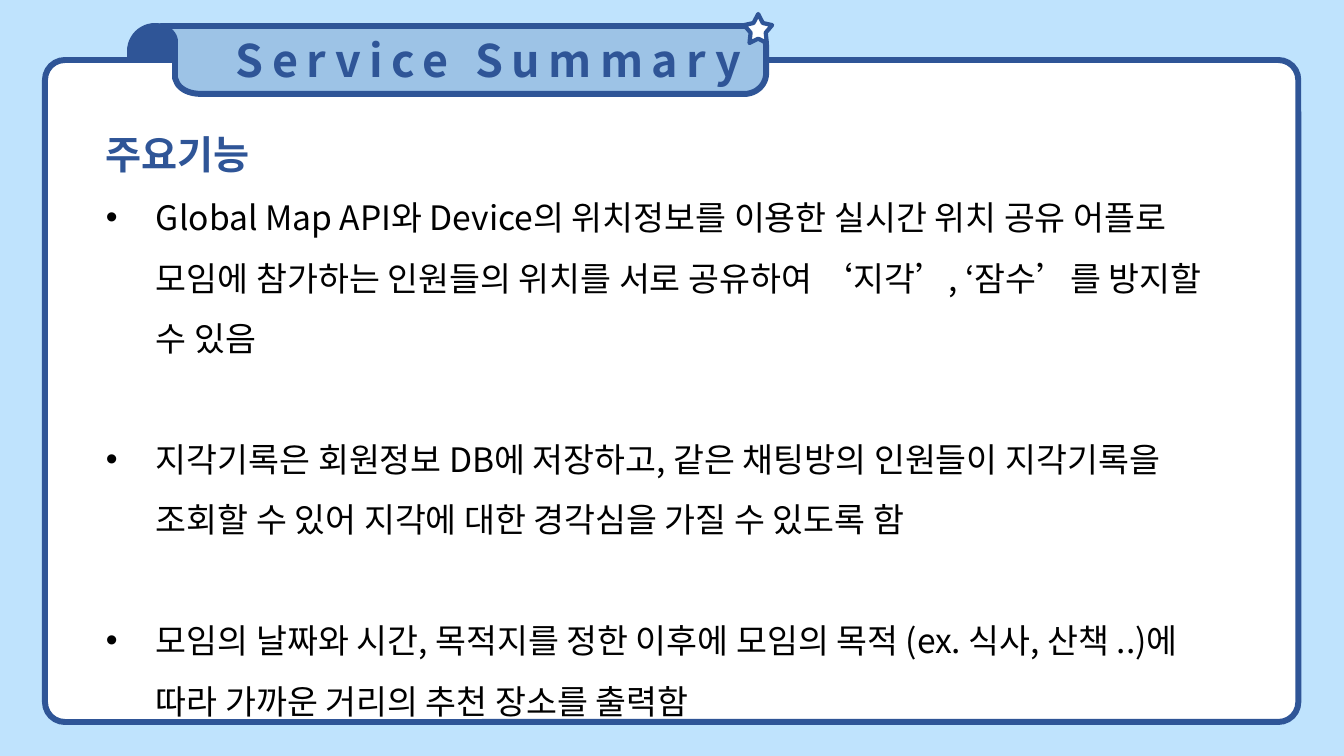
from lxml import etree
from pptx import Presentation
from pptx import util as u
from pptx.dml.color import RGBColor
from pptx.enum import shapes, text
from pptx.oxml.ns import qn

SCALE = 914400 / 100.8
FONT = "Noto Sans CJK KR"
COLORS = {"sky": "BFE3FD", "navy": "2F5597", "ribbon": "9DC3E6",
          "white": "FFFFFF", "black": "000000"}


def curve(start, first, second, end, steps=12):
    """Points along a cubic curve, without its start."""
    points = []
    for step in range(1, steps + 1):
        t = step / steps
        weights = ((1 - t) ** 3, 3 * t * (1 - t) ** 2, 3 * t * t * (1 - t), t ** 3)
        points.append(tuple(sum(weight * point[axis] for weight, point
                                in zip(weights, (start, first, second, end)))
                            for axis in (0, 1)))
    return points


class Painter:
    def __init__(self, slide):
        self.slide = slide

    def emu(self, *pixels):
        return [u.Emu(round(pixel * SCALE)) for pixel in pixels]

    def color(self, name):
        return RGBColor.from_string(COLORS[name])

    def background(self, name):
        fill = self.slide.background.fill
        fill.solid()
        fill.fore_color.rgb = self.color(name)

    def style(self, shape, fill, line_width):
        shape.shadow.inherit = False
        shape.fill.solid()
        shape.fill.fore_color.rgb = self.color(fill)
        shape.line.color.rgb = self.color("navy")
        shape.line.width = u.Pt(line_width)
        return shape

    def preset(self, kind, box, fill, adjustments, line_width=4.25):
        shape = self.slide.shapes.add_shape(kind, *self.emu(*box))
        for index, value in enumerate(adjustments):
            shape.adjustments[index] = value
        return self.style(shape, fill, line_width)

    def outline(self, points, fill, line_width=4.25):
        corners = [self.emu(*point) for point in points]
        builder = self.slide.shapes.build_freeform(*corners[0])
        builder.add_line_segments(corners[1:], close=True)
        return self.style(builder.convert_to_shape(), fill, line_width)

    def text_box(self, box):
        frame = self.slide.shapes.add_textbox(*self.emu(*box)).text_frame
        frame.word_wrap = True
        return frame

    def set_text(self, paragraph, words, size, color, bold=False, spacing=0,
                 left=0, first=0, bullet=None):
        paragraph.text = words
        font = paragraph.font
        font.name, font.size, font.bold = FONT, u.Pt(size), bold
        font.color.rgb = self.color(color)
        properties = paragraph._p.get_or_add_pPr()
        defaults = properties.find(qn("a:defRPr"))
        etree.SubElement(defaults, qn("a:ea"), typeface=FONT)
        if spacing:
            defaults.set("spc", str(spacing * 100))
        indent, hanging = self.emu(left, first)
        properties.set("marL", str(indent))
        properties.set("indent", str(hanging))
        if bullet:
            defaults.addprevious(etree.Element(qn("a:buFont"), typeface="Arial"))
            defaults.addprevious(etree.Element(qn("a:buChar"), char=bullet))


presentation = Presentation()
presentation.slide_width = u.Inches(13.33)
presentation.slide_height = u.Inches(7.5)
painter = Painter(presentation.slides.add_slide(presentation.slide_layouts[6]))
painter.background("sky")

# Ribbon fold and white card
kinds = shapes.MSO_SHAPE
painter.preset(kinds.ROUND_2_SAME_RECTANGLE, (130, 26, 50, 99), "navy", (0.5, 0))
painter.preset(kinds.ROUNDED_RECTANGLE, (45, 60, 1253, 662), "white", (0.03,))

# Title ribbon
ribbon = painter.outline(
    [(161, 26), (744, 26)]
    + curve((744, 26), (756, 26), (766, 35), (766, 47)) + [(766, 73)]
    + curve((766, 73), (766, 85), (756, 94), (744, 94)) + [(202, 94)]
    + curve((202, 94), (190, 94), (181, 90), (177, 83)) + [(175, 78), (175, 42)]
    + curve((175, 42), (175, 36), (171, 31), (165, 28)) + [(161, 27)],
    "ribbon")
ribbon.text_frame.word_wrap = True
ribbon.text_frame.vertical_anchor = text.MSO_ANCHOR.MIDDLE
title = ribbon.text_frame.paragraphs[0]
title.alignment = text.PP_ALIGN.CENTER
painter.set_text(title, "Service Summary", 32, "navy", bold=True, spacing=6, left=50)

# Star on the ribbon corner
painter.preset(kinds.STAR_5_POINT, (744, 14, 28, 29), "white", (0.27,), 3)

# Main features
features = [
    "Global Map API와 Device의 위치정보를 이용한 실시간 위치 공유 어플로\v"
    "모임에 참가하는 인원들의 위치를 서로 공유하여 ‘지각’, ‘잠수’를 방지할 수 있음",
    "지각기록은 회원정보 DB에 저장하고, 같은 채팅방의 인원들이 지각기록을 "
    "조회할 수 있어 지각에 대한 경각심을 가질 수 있도록 함",
    "모임의 날짜와 시간, 목적지를 정한 이후에 모임의 목적 (ex. 식사, 산책 ..)에 "
    "따라 가까운 거리의 추천 장소를 출력함",
]
body = painter.text_box((96, 125, 1146, 540))
painter.set_text(body.paragraphs[0], "주요기능", 28, "navy", bold=True)
for number, feature in enumerate(features):
    paragraph = body.add_paragraph()
    paragraph.line_spacing = 1.5
    paragraph.space_before = u.Pt(43 if number else 0)
    painter.set_text(paragraph, feature, 24, "black", left=50, first=-50, bullet="•")

presentation.save("out.pptx")
